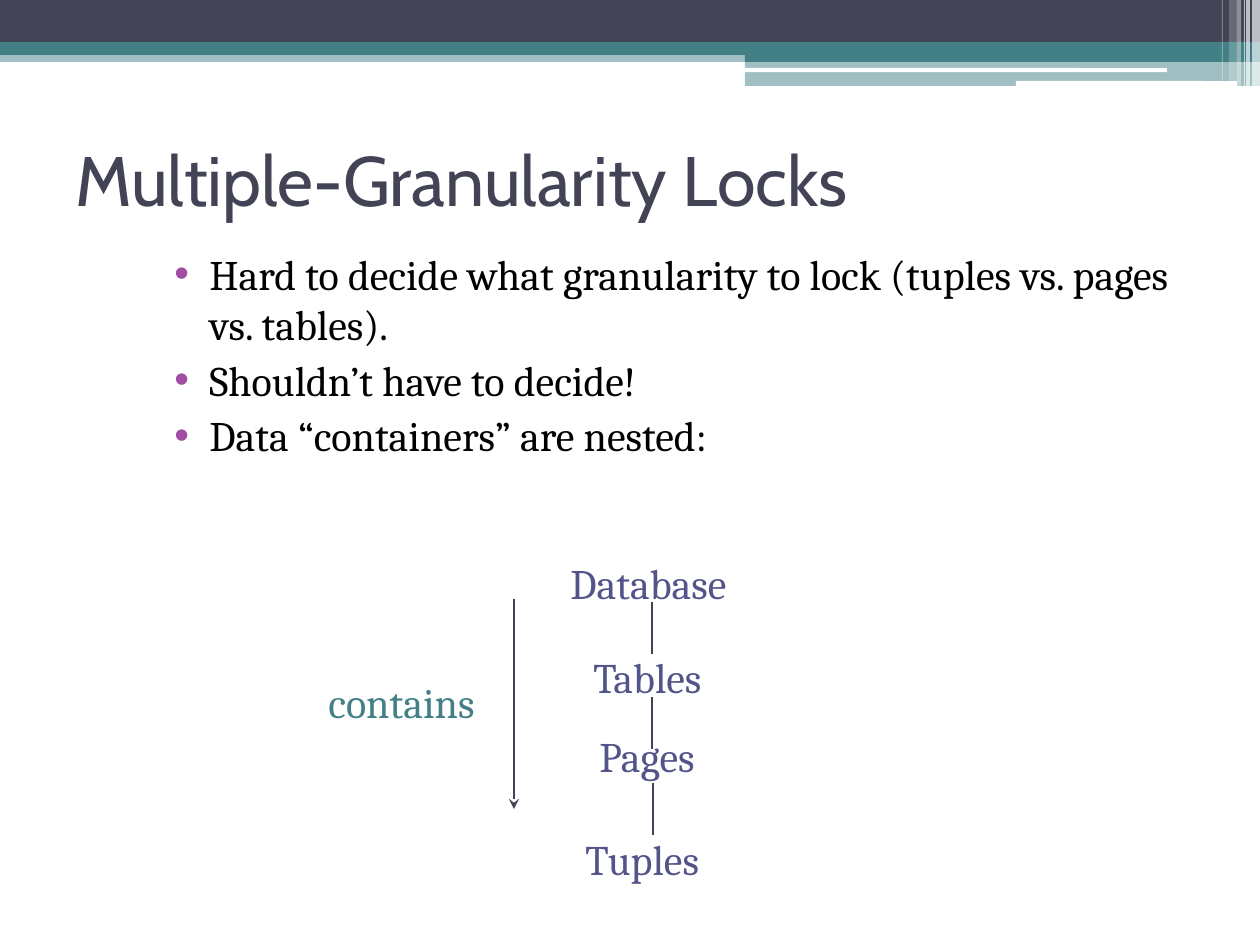
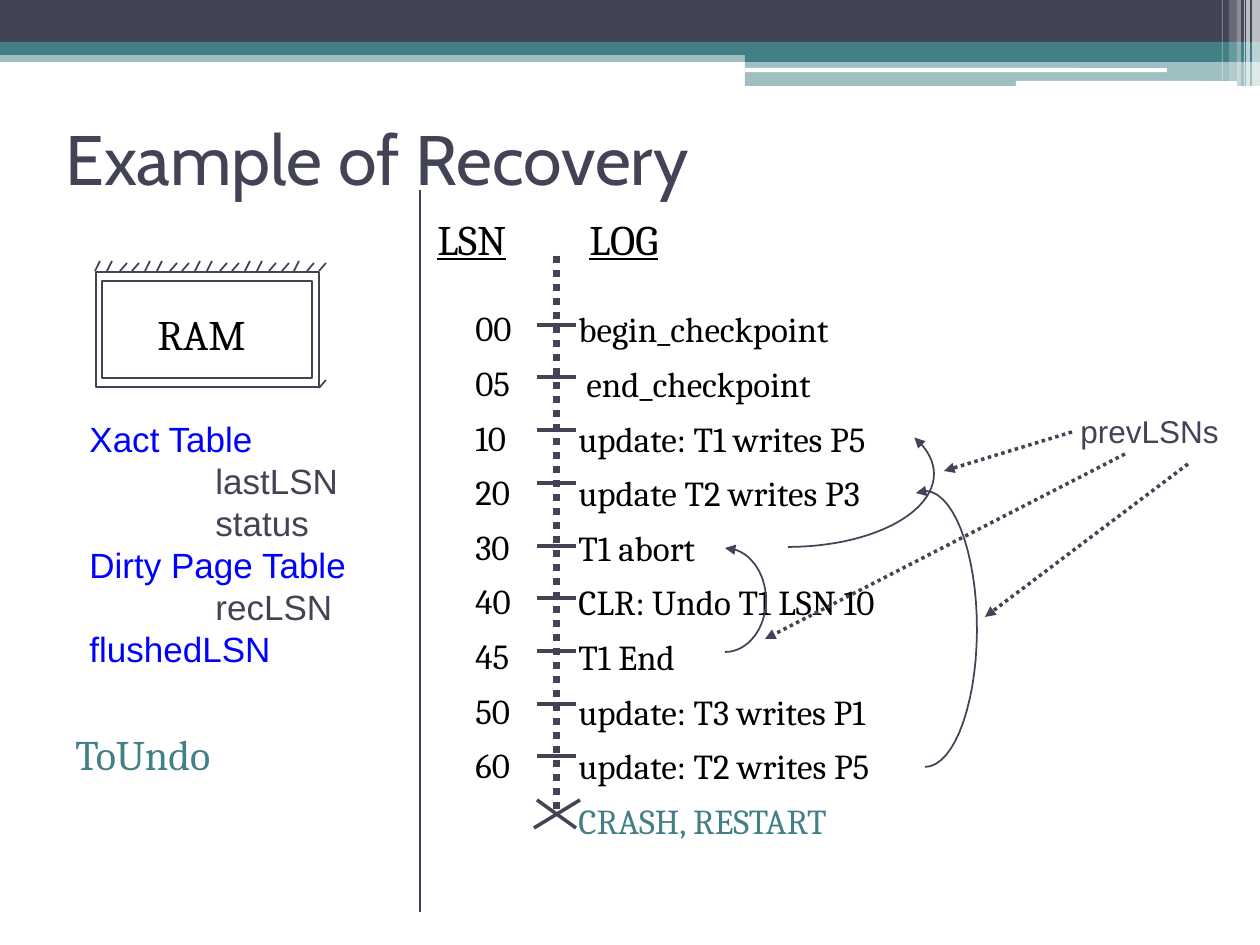
"""Builds two database slides: lock granularity and an example of recovery."""
from math import cos, radians, sin

from lxml import etree
from pptx import Presentation
from pptx.dml.color import RGBColor
from pptx.enum.dml import MSO_LINE
from pptx.enum.shapes import MSO_CONNECTOR, MSO_SHAPE
from pptx.enum.text import MSO_ANCHOR
from pptx.oxml.ns import qn
from pptx.util import Emu, Pt

STRAIGHT = MSO_CONNECTOR.STRAIGHT
RECT = MSO_SHAPE.RECTANGLE
ROUNDED = MSO_SHAPE.ROUNDED_RECTANGLE
DOTTED = MSO_LINE.ROUND_DOT
MIDDLE = MSO_ANCHOR.MIDDLE

PX_PER_INCH = 126
BLANK_LAYOUT = 6
COLORS = {
    "ink": "424456",
    "teal": "438086",
    "indigo": "53548A",
    "purple": "A04DA3",
    "blue": "0000FF",
    "black": "000000",
    "white": "FFFFFF",
}
SERIF, SANS, TITLE_FONT = "Cambria", "Arial", "Cabin"

BANDS = [
    (RECT, 0, 50, 1260, 12, "teal", 50),
    (RECT, 0, 0, 1260, 43, "ink", 100),
    (RECT, 0, 42, 1260, 13, "teal", 100),
    (RECT, 745, 49, 515, 13, "teal", 100),
    (RECT, 745, 61, 515, 25, "teal", 50),
    (ROUNDED, 745, 68, 422, 4, "white", 100),
    (ROUNDED, 1016, 81, 221, 5, "white", 100),
    (RECT, 1252, 0, 8, 86, "white", 65),
    (RECT, 1246, 0, 4, 86, "white", 65),
    (RECT, 1244, 0, 1, 86, "white", 60),
    (RECT, 1237, 0, 4, 86, "white", 40),
    (RECT, 1229, 0, 8, 81, "white", 20),
    (RECT, 1222, 0, 1, 81, "white", 30),
]
LOCK_BULLETS = [
    "Hard to decide what granularity to lock (tuples vs. pages vs. tables).",
    "Shouldn’t have to decide!",
    "Data “containers” are nested:",
]
CONTAINERS = [
    ("Database", 558, 551),
    ("Tables", 581, 645),
    ("Pages", 587, 724),
    ("Tuples", 573, 827),
]
CONTAINER_LINKS = [(652, 602), (652, 697), (653, 783)]
LOG = [
    ("00", "begin_checkpoint"),
    ("05", "end_checkpoint"),
    ("10", "update: T1 writes P5"),
    ("20", "update T2 writes P3"),
    ("30", "T1 abort"),
    ("40", "CLR: Undo T1 LSN 10"),
    ("45", "T1 End"),
    ("50", "update: T3 writes P1"),
    ("60", "update: T2 writes P5"),
]
MEMORY_TABLES = [
    ("Xact Table", ["lastLSN", "status"]),
    ("Dirty Page Table", ["recLSN"]),
    ("flushedLSN", []),
]


def px(length):
    """Turn px into EMU."""
    return Emu(round(length * 914400 / PX_PER_INCH))


def rgb(name):
    """Look up a named colour."""
    return RGBColor.from_string(COLORS[name])


def add_child(parent, tag, **attributes):
    """Append a DrawingML element."""
    return etree.SubElement(parent, qn(tag), attributes)


def add_band(slide, preset, left, top, width, height, color, opacity):
    """Add a borderless, possibly translucent bar."""
    band = slide.shapes.add_shape(preset, px(left), px(top), px(width), px(height))
    band.shadow.inherit = False
    band.line.fill.background()
    band.fill.solid()
    band.fill.fore_color.rgb = rgb(color)
    if opacity < 100:
        tint = band.fill._xPr.find(".//" + qn("a:srgbClr"))
        add_child(tint, "a:alpha", val=str(opacity * 1000))


def add_frame(slide, left, top, width, height):
    """Add an unfilled rectangle with a thin outline."""
    frame = slide.shapes.add_shape(RECT, px(left), px(top), px(width), px(height))
    frame.shadow.inherit = False
    frame.fill.background()
    style_line(frame.line, 1)


def style_line(line, weight, dash=None):
    """Apply the ink colour, weight and dash to a line."""
    line.color.rgb = rgb("ink")
    line.width = Pt(weight)
    if dash is not None:
        line.dash_style = dash


def add_line(slide, x1, y1, x2, y2, weight=1, dash=None, arrow=None):
    """Add a straight connector, with an optional arrowhead at its end."""
    connector = slide.shapes.add_connector(STRAIGHT, px(x1), px(y1), px(x2), px(y2))
    style_line(connector.line, weight, dash)
    if arrow:
        add_child(connector.line._get_or_add_ln(), "a:tailEnd", type=arrow)
    add_child(connector._element.spPr, "a:effectLst")


def add_back_arrow(slide, center_x, center_y, radius_x, radius_y, start_angle):
    """Add an elliptic arc down to its lowest point, with an arrowhead at the top."""
    steps = 32
    angles = [radians(start_angle + (90 - start_angle) * i / steps) for i in range(steps + 1)]
    points = [
        (px(center_x + radius_x * cos(a)), px(center_y + radius_y * sin(a))) for a in angles
    ]
    builder = slide.shapes.build_freeform(*points[0])
    builder.add_line_segments(points[1:], close=False)
    arc = builder.convert_to_shape()
    arc.shadow.inherit = False
    arc.fill.background()
    style_line(arc.line, 1)
    add_child(arc.line._get_or_add_ln(), "a:headEnd", type="triangle")


def set_indent(paragraph, margin, first_line=0):
    """Set a paragraph's left margin and first-line offset."""
    properties = paragraph._p.get_or_add_pPr()
    properties.set("marL", str(px(margin)))
    properties.set("indent", str(px(first_line)))
    return properties


def add_bullet(paragraph):
    """Give a paragraph a hanging purple bullet."""
    properties = set_indent(paragraph, 50, -35)
    bullet_color = add_child(properties, "a:buClr")
    add_child(bullet_color, "a:srgbClr", val=COLORS["purple"])
    add_child(properties, "a:buFont", typeface=SANS)
    add_child(properties, "a:buChar", char="•")


def add_tab(paragraph, position):
    """Add a left tab stop."""
    tabs = add_child(paragraph._p.get_or_add_pPr(), "a:tabLst")
    add_child(tabs, "a:tab", pos=str(px(position)), algn="l")


def style_font(paragraph, size, color, font):
    """Set a paragraph's font."""
    paragraph.font.size = Pt(size)
    paragraph.font.name = font
    paragraph.font.color.rgb = rgb(color)


def add_text(slide, left, top, width, height, lines):
    """Add a wrapping text box and return its frame."""
    frame = slide.shapes.add_textbox(px(left), px(top), px(width), px(height)).text_frame
    frame.word_wrap = True
    frame.text = "\n".join(lines)
    return frame


def add_label(slide, text, left, top, width, color, size=24, font=SERIF):
    """Add a one-line label."""
    frame = add_text(slide, left, top, width, 63, [text])
    style_font(frame.paragraphs[0], size, color, font)


def add_log_column(slide, left, top, width, entries):
    """Add a widely spaced column of log text and return its paragraphs."""
    frame = add_text(slide, left, top, width, 504, entries)
    for entry in frame.paragraphs:
        entry.line_spacing = 1.3
        style_font(entry, 20, "black", SERIF)
    return frame.paragraphs


def add_titled_slide(deck, title, left, top):
    """Add a slide with the shared bands and title style."""
    slide = deck.slides.add_slide(deck.slide_layouts[BLANK_LAYOUT])
    for band in BANDS:
        add_band(slide, *band)
    frame = add_text(slide, left, top, 1134, 147, [title])
    frame.vertical_anchor = MIDDLE
    style_font(frame.paragraphs[0], 40, "ink", TITLE_FONT)
    return slide


def add_ram(slide):
    """Add the RAM box with its hatched edge."""
    add_label(slide, "RAM", 145, 302, 121, "black")
    add_frame(slide, 96, 272, 223, 115)
    add_frame(slide, 102, 281, 210, 97)
    for i in range(19):
        x = 95 + round(12.46 * i)
        steep = i % 4 < 2 and i != 17
        rise_x, rise_y = (5, 10) if steep else (7, 8)
        add_line(slide, x, 271, x + rise_x, 271 - rise_y)
    add_line(slide, 319, 388, 326, 380)


def add_memory_tables(slide):
    """List the in-memory tables with their indented fields."""
    rows = []
    for table, fields in MEMORY_TABLES:
        rows.append((table, False))
        rows += [(field, True) for field in fields]
    frame = add_text(slide, 77, 411, 295, 306, [name for name, _ in rows])
    for paragraph, (_, is_field) in zip(frame.paragraphs, rows):
        if is_field:
            set_indent(paragraph, 126)
        style_font(paragraph, 20, "ink" if is_field else "blue", SANS)


def add_log(slide):
    """Add the log timeline with its numbers and records."""
    records = add_log_column(
        slide, 566, 289, 375, [record for _, record in LOG] + ["CRASH, RESTART"]
    )
    set_indent(records[1], 8)
    records[-1].font.color.rgb = rgb("teal")
    add_log_column(slide, 463, 288, 73, [lsn for lsn, _ in LOG])

    heading = add_text(slide, 425, 207, 291, 63, ["LSN\tLOG"]).paragraphs[0]
    add_tab(heading, 152)
    style_font(heading, 24, "black", SERIF)
    heading.font.underline = True

    add_line(slide, 557, 256, 557, 815, 4, DOTTED)
    for i in range(len(LOG)):
        y = 325 + round(52.5 * i) + (11 if i > 3 else 0)
        add_line(slide, 537, y, 576, y, 2)
    add_line(slide, 537, 800, 576, 828, 2)
    add_line(slide, 580, 800, 534, 828, 2)


def add_prev_lsns(slide):
    """Add the back arrows between records and the pointers to them."""
    add_label(slide, "prevLSNs", 1068, 406, 174, "ink", 18, SANS)
    add_back_arrow(slide, 725, 600, 41, 52, -90)
    add_back_arrow(slide, 788, 474, 146, 73, -30)
    add_back_arrow(slide, 925, 629, 52, 138, -100)
    for pointer in [(1072, 432, 944, 471), (1125, 454, 765, 639), (1188, 464, 985, 617)]:
        add_line(slide, *pointer, 2, DOTTED, "triangle")


def build_locks(deck):
    """Build the slide on lock granularity."""
    slide = add_titled_slide(deck, "Multiple-Granularity Locks", 63, 105)
    bullets = add_text(slide, 147, 242, 1040, 562, LOCK_BULLETS).paragraphs
    for i, bullet in enumerate(bullets):
        add_bullet(bullet)
        bullet.space_before = Pt(3 if i else 0)
        style_font(bullet, 24, "black", SERIF)
    for name, left, top in CONTAINERS:
        add_label(slide, name, left, top, 210, "indigo")
    for x, y in CONTAINER_LINKS:
        add_line(slide, x, y, x, y + 52)
    add_line(slide, 514, 599, 514, 809, arrow="stealth")
    add_label(slide, "contains", 316, 670, 195, "teal")


def build_recovery(deck):
    """Build the slide with the recovery example."""
    slide = add_titled_slide(deck, "Example of Recovery", 53, 84)
    add_log(slide)
    add_line(slide, 420, 190, 420, 912)
    add_memory_tables(slide)
    add_label(slide, "ToUndo", 63, 722, 183, "teal")
    add_ram(slide)
    add_prev_lsns(slide)


def main():
    """Build and save the deck."""
    deck = Presentation()
    deck.slide_width, deck.slide_height = px(1260), px(945)
    build_locks(deck)
    build_recovery(deck)
    deck.save("out.pptx")


if __name__ == "__main__":
    main()
